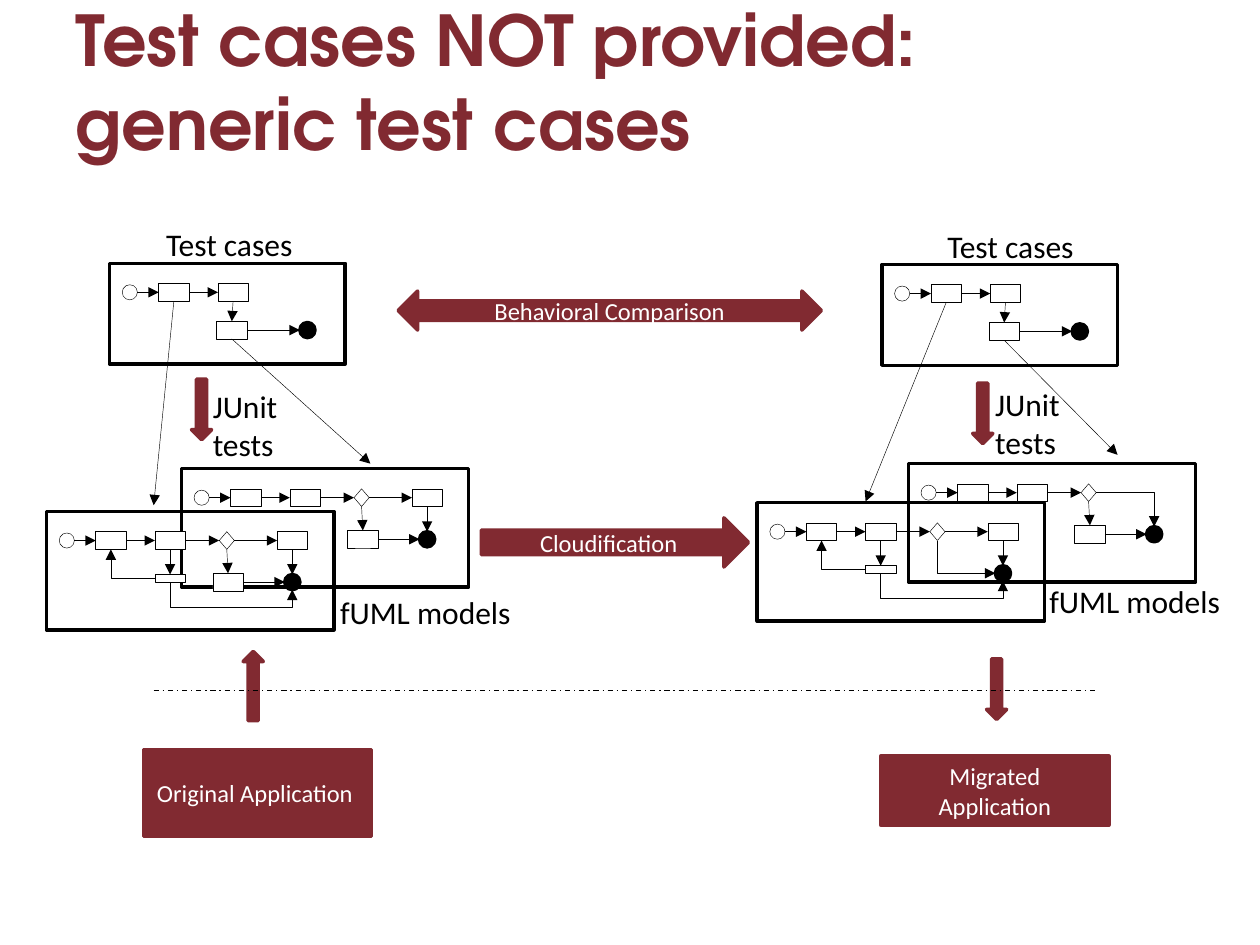
from dataclasses import dataclass
from typing import NamedTuple

from lxml.etree import SubElement
from pptx import Presentation
from pptx.dml.color import RGBColor
from pptx.enum.dml import MSO_LINE
from pptx.enum.shapes import MSO_CONNECTOR, MSO_SHAPE
from pptx.enum.text import MSO_ANCHOR, PP_ALIGN
from pptx.oxml.ns import qn
from pptx.util import Inches, Pt

# The slide is a grid of 100 columns by 75 rows; every length is in cells.
COLS, ROWS = 100, 75
CELL = Inches(10) / COLS
WINE, BLACK, WHITE = "812A31", "000000", "FFFFFF"
THIN, THICK = 0.25, 2
TOP, LEFT, BOTTOM, RIGHT = range(4)


class Kind(NamedTuple):
    form: MSO_SHAPE
    wide: float
    high: float
    fill: str = WHITE
    line: float = THIN


TASK = Kind(MSO_SHAPE.RECTANGLE, 2.4, 1.4)
BAR = Kind(MSO_SHAPE.RECTANGLE, 2.4, 0.6)
CHOICE = Kind(MSO_SHAPE.DIAMOND, 1.2, 1.4)
START = Kind(MSO_SHAPE.OVAL, 1.2, 1.2)
END = Kind(MSO_SHAPE.OVAL, 1.2, 1.2, BLACK, THICK)

# Each node: its kind and its place inside the frame.
TEST = {"start": (START, 1, 1.7), "one": (TASK, 3.9, 1.6), "two": (TASK, 8.6, 1.6),
        "task": (TASK, 8.5, 4.6), "end": (END, 15.1, 4.7)}
MODEL = {"start": (START, 1, 1.7), "one": (TASK, 3.9, 1.6), "two": (TASK, 8.6, 1.6),
         "choice": (CHOICE, 13.7, 1.6), "last": (TASK, 18.3, 1.6),
         "task": (TASK, 13.2, 4.9), "end": (END, 18.9, 5), "bar": (BAR, 8.6, 5)}

# Each link: from node, its side, to node, its side.
BASE = [("start", RIGHT, "one", LEFT), ("one", RIGHT, "two", LEFT),
        ("task", RIGHT, "end", LEFT)]
TESTLINKS = BASE + [("two", BOTTOM, "task", TOP)]
LINKS = BASE + [("two", RIGHT, "choice", LEFT), ("choice", RIGHT, "last", LEFT),
                ("choice", BOTTOM, "task", TOP), ("last", BOTTOM, "end", TOP),
                ("two", BOTTOM, "bar", TOP)]


class Bend(NamedTuple):
    tail: str
    out: int
    head: str
    into: int
    turn: int = 0
    flip: bool = False
    adj: int = 0


BACK = Bend("bar", LEFT, "one", BOTTOM, 180)
LOOP = Bend("bar", BOTTOM, "end", BOTTOM, 270, True, 335200)
DROP = Bend("choice", BOTTOM, "end", LEFT, 270, True)
OVER = Bend("choice", RIGHT, "end", TOP)


@dataclass
class Flow:
    x: float
    y: float
    wide: float
    high: float
    nodes: dict
    links: list
    bends: tuple = ()
    skip: tuple = ()
    group: bool = False


def cells(*nums: float) -> list:
    return [round(n * CELL) for n in nums]


def paint(fill, color: str) -> None:
    fill.solid()
    fill.fore_color.rgb = RGBColor.from_string(color)


def style(line, width: float, color: str = BLACK) -> None:
    paint(line.fill, color)
    line.width = Pt(width)


def write(frame, text: str, size: int, color: str, align=None,
          face: str = "Calibri", bold: bool = False) -> None:
    frame.text = text
    for para in frame.paragraphs:
        para.alignment = align
        looks = {"size": Pt(size), "name": face, "bold": bold}
        for key, value in looks.items():
            setattr(para.font, key, value)
        paint(para.font.fill, color)


def label(shapes, x, y, wide, high, text, wrap=False, size=18, color=BLACK, **looks):
    frame = shapes.add_textbox(*cells(x, y, wide, high)).text_frame
    frame.word_wrap = wrap
    write(frame, text, size, color, **looks)
    return frame


def block(shapes, form, x, y, wide, high, fill=WINE, line=THICK, edge=WINE, text=""):
    shape = shapes.add_shape(form, *cells(x, y, wide, high))
    shape.shadow.inherit = False
    if fill:
        paint(shape.fill, fill)
    else:
        shape.fill.background()
    style(shape.line, line, edge)
    if text:
        shape.text_frame.vertical_anchor = MSO_ANCHOR.MIDDLE
        write(shape.text_frame, text, 14, WHITE, PP_ALIGN.CENTER)
    return shape


def wire(shapes, start, end, kind=MSO_CONNECTOR.STRAIGHT, width=THIN, arrow=True):
    line = shapes.add_connector(kind, *map(round, (*start, *end)))
    style(line.line, width)
    props = line._element.spPr
    if arrow:
        SubElement(props.find(qn("a:ln")), qn("a:tailEnd"), type="triangle")
    SubElement(props, qn("a:effectLst"))
    return line


def spot(shape, side: int) -> tuple:
    """Middle of one side of a shape."""
    across, down = {TOP: (0.5, 0), LEFT: (0, 0.5), BOTTOM: (0.5, 1), RIGHT: (1, 0.5)}[side]
    return shape.left + shape.width * across, shape.top + shape.height * down


def join(shapes, tail, out: int, head, into: int) -> None:
    line = wire(shapes, spot(tail, out), spot(head, into))
    if tail.auto_shape_type != MSO_SHAPE.OVAL:
        line.begin_connect(tail, out)
    if head.auto_shape_type != MSO_SHAPE.OVAL:
        line.end_connect(head, into)


def elbow(shapes, start: tuple, end: tuple, bend: Bend) -> None:
    """Bent connector: its box is turned about the middle of the two ends."""
    wide, high = abs(end[0] - start[0]), abs(end[1] - start[1])
    if bend.turn % 180:
        wide, high = high, wide
    x, y = (start[0] + end[0] - wide) / 2, (start[1] + end[1] - high) / 2
    line = wire(shapes, (x, y), (x + wide, y + high), MSO_CONNECTOR.ELBOW)
    props = line._element.spPr
    form = props.find(qn("a:xfrm"))
    form.set("rot", str(bend.turn * 60000))
    form.set("flipH", str(int(bend.flip)))
    shape = props.find(qn("a:prstGeom"))
    if bend.adj:
        SubElement(shape.find(qn("a:avLst")), qn("a:gd"), name="adj1", fmla=f"val {bend.adj}")
    else:
        shape.set("prst", "bentConnector2")


def draw(shapes, flow: Flow) -> dict:
    if flow.group:
        shapes = shapes.add_group_shape().shapes
    made = {name: block(shapes, kind.form, flow.x + x, flow.y + y, kind.wide, kind.high,
                        kind.fill, kind.line, BLACK)
            for name, (kind, x, y) in flow.nodes.items() if name not in flow.skip}
    for tail, out, head, into in flow.links:
        if tail in made and head in made:
            join(shapes, made[tail], out, made[head], into)
    for bend in flow.bends:
        elbow(shapes, spot(made[bend.tail], bend.out), spot(made[bend.head], bend.into), bend)
    block(shapes, MSO_SHAPE.RECTANGLE, flow.x, flow.y, flow.wide, flow.high, None, THICK, BLACK)
    return made


def main() -> None:
    deck = Presentation()
    deck.slide_width, deck.slide_height = cells(COLS, ROWS)
    shapes = deck.slides.add_slide(deck.slide_layouts[6]).shapes

    title = label(shapes, 5, 1.3, 86.7, 10.1, "Test cases NOT provided: generic test cases",
                  True, 40, WINE, face="TeX Gyre Adventor", bold=True)
    title.vertical_anchor = MSO_ANCHOR.MIDDLE

    down = MSO_SHAPE.DOWN_ARROW
    for form, x, y, wide, high, text in (
            (MSO_SHAPE.RECTANGLE, 11.4, 59.5, 18.1, 6.9, "Original Application "),
            (MSO_SHAPE.RECTANGLE, 69.9, 60, 18.1, 5.5, "Migrated Application"),
            (MSO_SHAPE.UP_ARROW, 19.3, 51.7, 1.6, 5.5, ""),
            (down, 78.3, 52.3, 1.6, 4.8, ""),
            (down, 15.2, 30.1, 1.6, 4.8, ""),
            (down, 77.2, 30.4, 1.6, 4.8, ""),
            (MSO_SHAPE.LEFT_RIGHT_ARROW, 31.6, 23.1, 33.6, 3.1, "Behavioral Comparison"),
            (MSO_SHAPE.RIGHT_ARROW, 38.2, 41.1, 21.2, 3.9, "Cloudification")):
        block(shapes, form, x, y, wide, high, text=text)
    rule = wire(shapes, cells(12.2, 54.8), cells(87, 54.8), width=0.75, arrow=False)
    rule.line.dash_style = MSO_LINE.DASH_DOT

    for x, y, ends in ((8.7, 20.9, {"one": (12.2, 40.1), "task": (29.4, 36.8)}),
                       (70, 21, {"one": (68.7, 39.8), "task": (88.7, 36.1)})):
        made = draw(shapes, Flow(x, y, 18.7, 8, TEST, TESTLINKS))
        for name, end in ends.items():
            trace = wire(shapes, spot(made[name], BOTTOM), cells(*end))
            trace.begin_connect(made[name], BOTTOM)

    size = 22.8, 9.4, MODEL, LINKS
    for flow in (Flow(60.1, 39.9, *size, (BACK, LOOP, DROP), ("task",)),
                 Flow(14.4, 37.2, *size, skip=("bar",), group=True),
                 Flow(3.7, 40.6, *size, (BACK, LOOP), group=True),
                 Flow(72.1, 36.8, *size, (OVER,), ("bar", "last"), True)):
        draw(shapes, flow)

    for x, y, wide, high, text, wrap in (
            (12.2, 17.4, 12.1, 4, "Test cases", False),
            (74.2, 17.5, 12.1, 4, "Test cases", False),
            (15.9, 30.2, 7.2, 7.1, "JUnit\ntests", False),
            (78, 30.1, 7.2, 7.1, "JUnit\ntests", False),
            (26, 46.6, 16.2, 4, "fUML models", True),
            (82.3, 45.7, 16.2, 4, "fUML models", True)):
        label(shapes, x, y, wide, high, text, wrap)

    deck.save("out.pptx")


if __name__ == "__main__":
    main()
